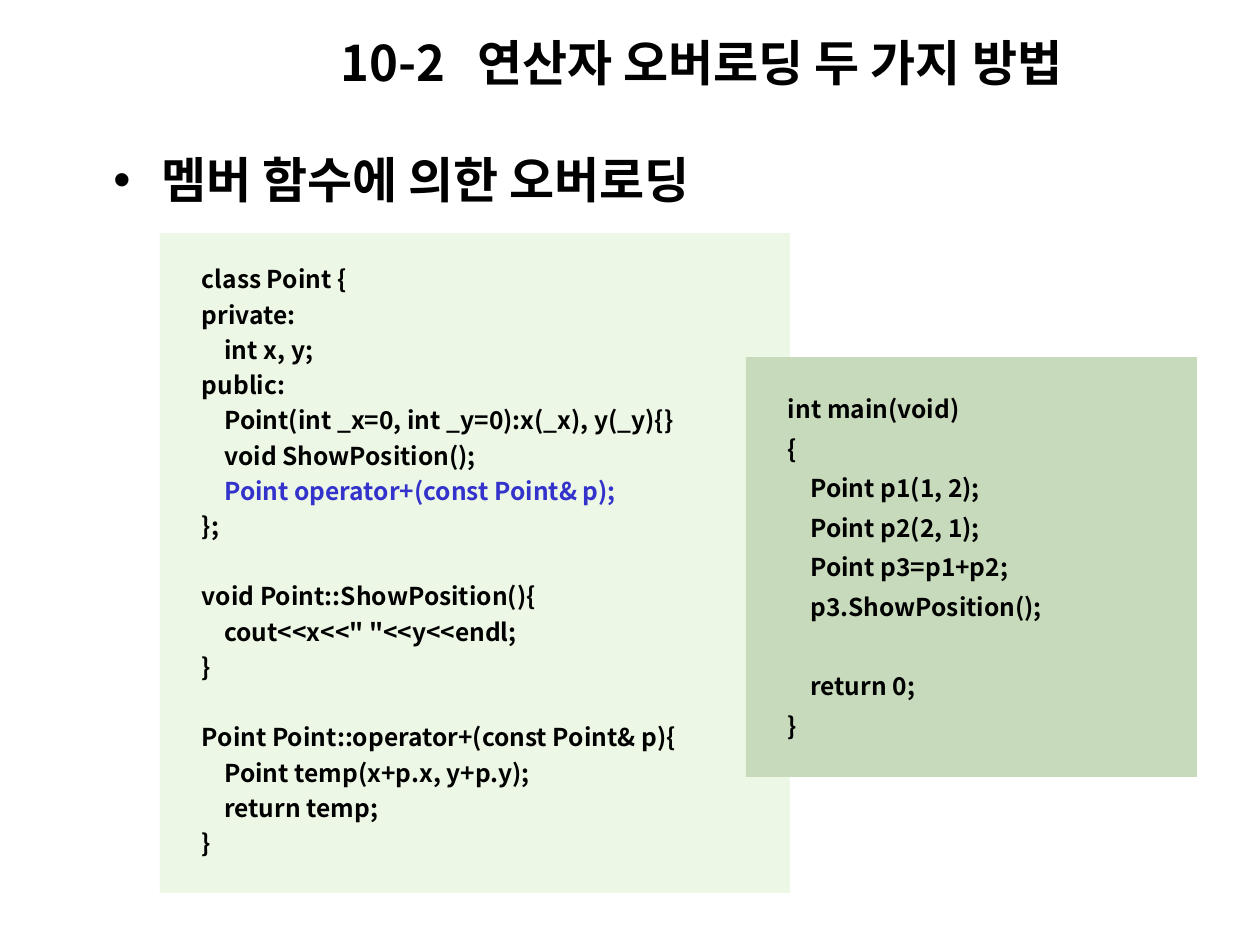
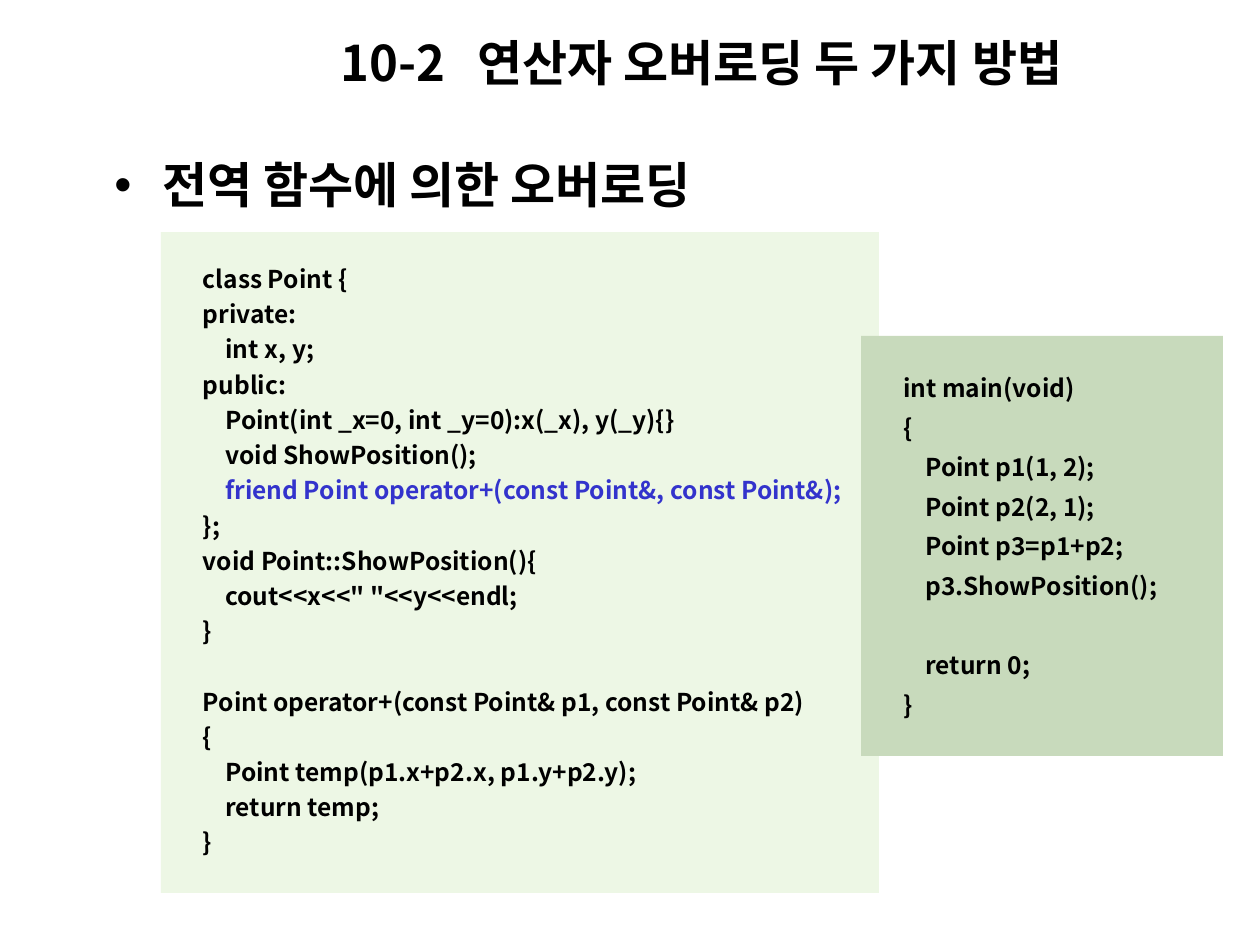
"""Builds two slides on operator overloading by member and by global function."""
import lxml.etree
import pptx
import pptx.dml.color
import pptx.enum.shapes
import pptx.enum.text
import pptx.oxml.ns
import pptx.util

BLACK = pptx.dml.color.RGBColor(0x00, 0x00, 0x00)
BLUE = pptx.dml.color.RGBColor(0x33, 0x33, 0xCC)
PALE_GREEN = pptx.dml.color.RGBColor(0xED, 0xF7, 0xE5)
SAGE = pptx.dml.color.RGBColor(0xC8, 0xDA, 0xBC)
FONT = "Noto Sans CJK KR"
TITLE = "10-2\t연산자 오버로딩 두 가지 방법"

CLASS_TEMPLATE = """class Point {
private:
    int x, y;
public:
    Point(int _x=0, int _y=0):x(_x), y(_y){}
    void ShowPosition();
    %s
};
%svoid Point::ShowPosition(){
    cout<<x<<" "<<y<<endl;
}

"""
MEMBER_DECLARATION = "Point operator+(const Point& p);"
MEMBER_CODE = CLASS_TEMPLATE % (MEMBER_DECLARATION, "\n") + """Point Point::operator+(const Point& p){
    Point temp(x+p.x, y+p.y);
    return temp;
}"""
GLOBAL_DECLARATION = "friend Point operator+(const Point&, const Point&);"
GLOBAL_CODE = CLASS_TEMPLATE % (GLOBAL_DECLARATION, "") + """Point operator+(const Point& p1, const Point& p2)
{
    Point temp(p1.x+p2.x, p1.y+p2.y);
    return temp;
}"""
MAIN_CODE = """int main(void)
{
    Point p1(1, 2);
    Point p2(2, 1);
    Point p3=p1+p2;
    p3.ShowPosition();

    return 0;
}"""


def px(length):
    return round(length * 914400 / 126)


def add_child(parent, tag, **attributes):
    child = lxml.etree.SubElement(parent, pptx.oxml.ns.qn(tag))
    for name, value in attributes.items():
        child.set(name, str(value))
    return child


def write(paragraph, text, size=28, color=BLACK, line_height=None):
    paragraph.alignment = pptx.enum.text.PP_ALIGN.LEFT
    if line_height:
        paragraph.line_spacing = pptx.util.Pt(line_height)
    if not text:
        return
    run = paragraph.add_run()
    run.text = text
    run.font.size = pptx.util.Pt(size)
    run.font.bold = True
    run.font.color.rgb = color
    run.font.name = FONT
    add_child(run.font._element, "a:ea", typeface=FONT)


class Deck:
    def __init__(self):
        self.presentation = pptx.Presentation()
        self.presentation.slide_width = px(1260)
        self.presentation.slide_height = px(945)
        self.slide = None

    def add_slide(self):
        layout = self.presentation.slide_layouts[6]
        self.slide = self.presentation.slides.add_slide(layout)
        self.add_title(TITLE)

    def add_text_box(self, box):
        frame = self.slide.shapes.add_textbox(*map(px, box)).text_frame
        frame.word_wrap = True
        return frame

    def add_title(self, text):
        frame = self.add_text_box((328, 26, 838, 72))
        frame.vertical_anchor = pptx.enum.text.MSO_ANCHOR.MIDDLE
        paragraph = frame.paragraphs[0]
        tabs = add_child(paragraph._p.get_or_add_pPr(), "a:tabLst")
        add_child(tabs, "a:tab", pos=px(137), algn="l")
        write(paragraph, text)

    def add_heading(self, text, box):
        paragraph = self.add_text_box(box).paragraphs[0]
        properties = paragraph._p.get_or_add_pPr()
        properties.set("marL", str(px(48)))
        properties.set("indent", str(px(-48)))
        add_child(properties, "a:buFont", typeface="Arial")
        add_child(properties, "a:buChar", char="•")
        write(paragraph, text, line_height=40.3)

    def add_code(self, code, box, fill, line_height, highlight=None):
        shape = self.slide.shapes.add_shape(
            pptx.enum.shapes.MSO_SHAPE.RECTANGLE, *map(px, box))
        shape.shadow.inherit = False
        shape.fill.solid()
        shape.fill.fore_color.rgb = fill
        shape.line.fill.background()
        frame = shape.text_frame
        frame.word_wrap = True
        frame.vertical_anchor = pptx.enum.text.MSO_ANCHOR.MIDDLE
        frame.margin_left, frame.margin_top = px(42), px(16)
        frame.margin_right, frame.margin_bottom = px(13), px(26)
        for index, line in enumerate(code.split("\n")):
            paragraph = frame.add_paragraph() if index else frame.paragraphs[0]
            color = BLUE if line.strip() == highlight else BLACK
            write(paragraph, line, size=14, color=color, line_height=line_height)

    def add_example(self, heading, heading_box, code, highlight, code_box, main_box):
        self.add_slide()
        self.add_heading(heading, heading_box)
        self.add_code(code, code_box, PALE_GREEN, 20.15, highlight)
        self.add_code(MAIN_CODE, main_box, SAGE, 22.65)


def main():
    deck = Deck()
    deck.add_example("멤버 함수에 의한 오버로딩", (101, 132, 669, 83),
                     MEMBER_CODE, MEMBER_DECLARATION,
                     (160, 233, 630, 660), (746, 357, 451, 420))
    deck.add_example("전역 함수에 의한 오버로딩", (102, 137, 1071, 83),
                     GLOBAL_CODE, GLOBAL_DECLARATION,
                     (161, 232, 718, 661), (861, 336, 362, 420))
    deck.presentation.save("out.pptx")


if __name__ == "__main__":
    main()
